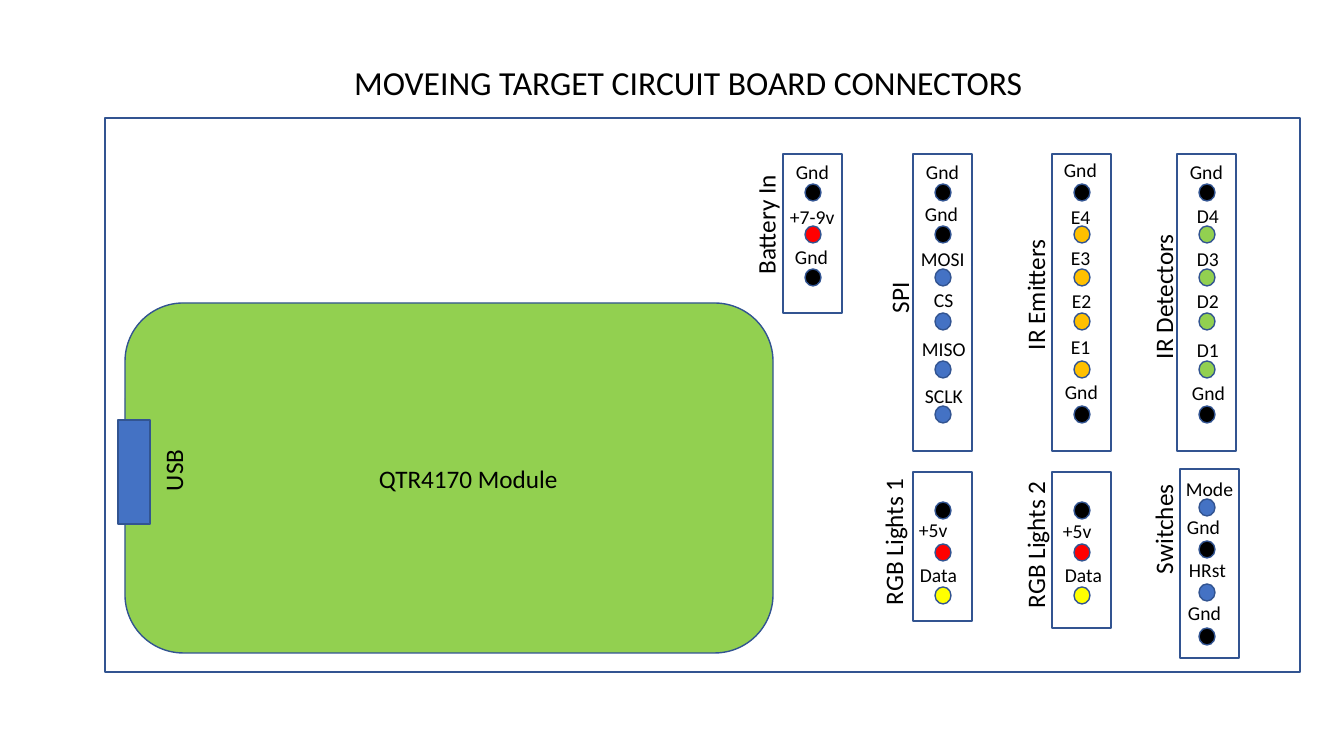
from pptx import Presentation
from pptx.dml.color import RGBColor
from pptx.enum.shapes import MSO_SHAPE
from pptx.enum.text import MSO_ANCHOR, MSO_AUTO_SIZE, PP_ALIGN
from pptx.util import Pt

SCALE = 914400 / 100.8
COLORS = {
    "line": "325491", "text": "000000", "black": "000000", "red": "FF0000",
    "green": "92D050", "orange": "FFC000", "blue": "4472C4", "yellow": "FFFF00",
}
PIN_TOPS = (30, 72, 115, 159, 207, 252)
PIN_W, PIN_H = 16, 17
LABEL_H, NAME_H = 34, 40


def emu(*px):
    """Turn pixel lengths into EMU."""
    return [round(v * SCALE) for v in px]


def color(name):
    """Look up a named colour."""
    return RGBColor.from_string(COLORS[name])


def add_run(p, text, size):
    """Add one formatted run to a paragraph."""
    r = p.add_run()
    r.text = text
    r.font.name = "Calibri"
    r.font.size = Pt(size)
    r.font.color.rgb = color("text")


def add_outline(slide, kind, box, fill=None, width=1):
    """Add a preset shape with the board's outline colour."""
    sp = slide.shapes.add_shape(kind, *emu(*box))
    sp.shadow.inherit = False
    if fill:
        sp.fill.solid()
        sp.fill.fore_color.rgb = color(fill)
    else:
        sp.fill.background()
    sp.line.color.rgb = color("line")
    sp.line.width = Pt(width)


def add_text(slide, box, text, size, rotation=0):
    """Add a wrapped one-line text box."""
    sp = slide.shapes.add_textbox(*emu(*box))
    sp.rotation = rotation
    tf = sp.text_frame
    tf.word_wrap = True
    tf.auto_size = MSO_AUTO_SIZE.SHAPE_TO_FIT_TEXT
    add_run(tf.paragraphs[0], text, size)


def add_title(slide, box):
    """Place the slide title in its placeholder."""
    sp = slide.shapes.title
    sp.left, sp.top, sp.width, sp.height = emu(*box)
    tf = sp.text_frame
    tf.word_wrap = False
    tf.auto_size = MSO_AUTO_SIZE.NONE
    tf.vertical_anchor = MSO_ANCHOR.TOP
    p = tf.paragraphs[0]
    p.alignment = PP_ALIGN.LEFT
    add_run(p, "MOVEING TARGET CIRCUIT BOARD CONNECTORS", 24)


def add_connector_block(slide, box, name, name_box, pins, pin_left=22):
    """Draw a connector with its rotated name, pins and pin labels."""
    left, top = box[:2]
    add_outline(slide, MSO_SHAPE.RECTANGLE, box)
    dx, dy, width = name_box
    add_text(slide, (left + dx, top + dy, width, NAME_H), name, 18, 270)
    for pin_top, (label, fill, dx, dy) in zip(PIN_TOPS, pins):
        add_outline(slide, MSO_SHAPE.OVAL,
                    (left + pin_left, top + pin_top, PIN_W, PIN_H), fill)
        if label:
            width = 58 if len(label) < 4 else 76
            add_text(slide, (left + dx, top + dy, width, LABEL_H), label, 14)


def add_module(slide, box):
    """Draw the processor module with its USB socket."""
    left, top = box[:2]
    add_outline(slide, MSO_SHAPE.ROUNDED_RECTANGLE, box, "green")
    add_text(slide, (left + 244, top + 155, 213, NAME_H), "QTR4170 Module", 18)
    add_outline(slide, MSO_SHAPE.RECTANGLE, (left - 7, top + 117, 32, 104), "blue")
    add_text(slide, (left + 12, top + 142, 72, NAME_H), "USB", 18, 270)


CONNECTORS = [
    ((783, 154, 59, 159), "Battery In", (-78, 50, 121), [
        ("Gnd", "black", 3, 1), ("+7-9v", "red", -3, 46), ("Gnd", "black", 2, 86)]),
    ((913, 154, 59, 297), "SPI", (-43, 120, 58), [
        ("Gnd", "black", 3, 1), ("Gnd", "black", 2, 43), ("MOSI", "blue", -2, 88),
        ("CS", "blue", 11, 129), ("MISO", "blue", -1, 178), ("SCLK", "blue", 2, 225)]),
    ((1052, 154, 59, 297), "IR Emitters", (-92, 111, 150), [
        ("Gnd", "black", 2, -1), ("E4", "orange", 9, 46), ("E3", "orange", 9, 87),
        ("E2", "orange", 10, 130), ("E1", "orange", 9, 176), ("Gnd", "black", 3, 221)]),
    ((1177, 154, 59, 297), "IR Detectors", (-89, 120, 150), [
        ("Gnd", "black", 3, 1), ("D4", "green", 10, 45), ("D3", "green", 10, 88),
        ("D2", "green", 10, 130), ("D1", "green", 10, 179), ("Gnd", "black", 5, 222)]),
    ((913, 472, 59, 149), "RGB Lights 1", (-95, 48, 150), [
        ("", "black", 0, 0), ("+5v", "red", -4, 41), ("Data", "yellow", -3, 86)]),
    ((1052, 472, 59, 156), "RGB Lights 2", (-92, 51, 150), [
        ("", "black", 0, 0), ("+5v", "red", 1, 42), ("Data", "yellow", 3, 86)]),
    ((1180, 469, 59, 189), "Switches", (-92, 20, 150), [
        ("Mode", "blue", -4, 3), ("Gnd", "black", -3, 41),
        ("HRst", "blue", -1, 84), ("Gnd", "black", -2, 127)], 19),
]


def add_board(slide, box):
    """Draw the board outline, its connectors and its module."""
    left, top = box[:2]
    add_outline(slide, MSO_SHAPE.RECTANGLE, box, width=1.25)
    for connector in CONNECTORS:
        add_connector_block(slide, *connector)
    add_module(slide, (left + 20, top + 185, 648, 350))


prs = Presentation()
prs.slide_width, prs.slide_height = emu(1344, 756)
slide = prs.slides.add_slide(prs.slide_layouts[5])
add_title(slide, (344, 57, 694, 50))
add_board(slide, (105, 118, 1195, 554))
prs.save("out.pptx")
